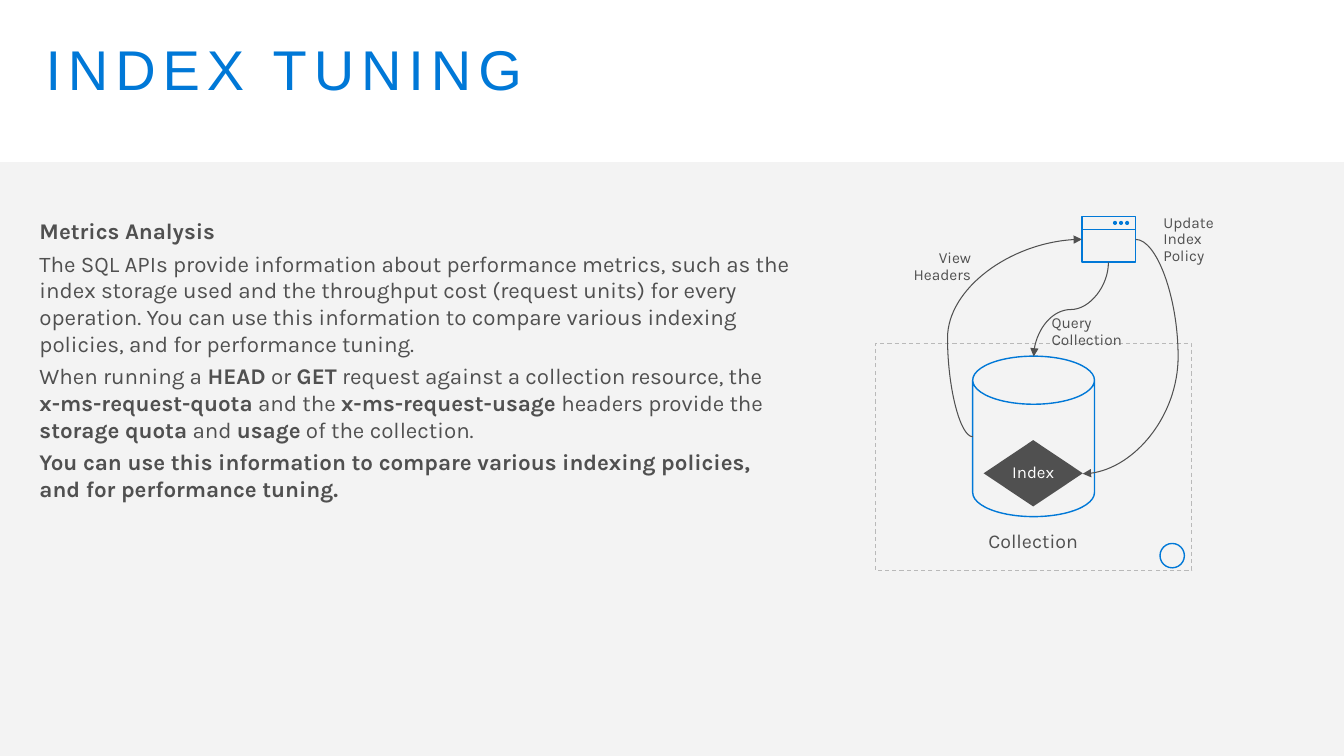
"""Build the index tuning slide: metrics notes beside a collection diagram."""
from typing import NamedTuple, Optional

from lxml.etree import SubElement
from pptx import Presentation
from pptx.dml.color import RGBColor
from pptx.enum.dml import MSO_LINE
from pptx.enum.shapes import MSO_CONNECTOR, MSO_SHAPE
from pptx.enum.text import MSO_ANCHOR, MSO_AUTO_SIZE, PP_ALIGN
from pptx.oxml.ns import qn
from pptx.util import Inches, Pt

COLORS = {"blue": "0078D7", "text": "505050", "band": "F2F2F2",
          "dash": "B9B9B9", "white": "FFFFFF"}
WIDTH, HEIGHT = Inches(13.33), Inches(7.5)
COLUMNS, ROWS = 160, 90


class Box(NamedTuple):
    x: float
    y: float
    w: float
    h: float


class Figure(NamedTuple):
    kind: MSO_SHAPE
    box: Box
    fill: Optional[str] = None
    line: Optional[str] = "blue"
    weight: float = 1
    dashed: bool = False
    adj: Optional[float] = None
    text: str = ""


class Link(NamedTuple):
    x1: float
    y1: float
    x2: float
    y2: float
    adj: Optional[float] = None
    rot: int = 0
    color: str = "text"
    weight: float = 0.75


class Label(NamedTuple):
    text: str
    box: Box
    align: PP_ALIGN = PP_ALIGN.LEFT
    size: float = 11
    inset: tuple = (0.1, 0.1)
    anchor: MSO_ANCHOR = MSO_ANCHOR.MIDDLE


WINDOW = Box(128.8, 25.8, 6.4, 5.4)
DOT, DOT_STEP = 0.48, 0.72

FIGURES = [
    Figure(MSO_SHAPE.RECTANGLE, WINDOW),
    *[Figure(MSO_SHAPE.OVAL, Box(132.5 + i * DOT_STEP, 26.3, DOT, DOT), "blue", None)
      for i in range(3)],
    Figure(MSO_SHAPE.RECTANGLE, Box(104.2, 40.9, 37.7, 27), None, "dash", 0.75, True),
    Figure(MSO_SHAPE.OVAL, Box(138.1, 64.7, 2.9, 2.9)),
    Figure(MSO_SHAPE.CAN, Box(115.8, 42.4, 14.5, 19.1), adj=0.395),
    Figure(MSO_SHAPE.FLOWCHART_DECISION, Box(117.1, 52.4, 11.8, 7.9), "text", None,
           text="Index"),
]
LINKS = [
    Link(WINDOW.x, 27.3, WINDOW.x + WINDOW.w, 27.3, color="blue", weight=1),
    Link(135.2, 28.5, 128.9, 56.4, -0.803),
    Link(121.9, 32.4, 133.1, 41.3, 0.5, 90),
    Link(115.8, 52, 128.8, 28.5, -0.231),
]
LABELS = [
    Label("Collection", Box(114.1, 61.4, 17.8, 6.5), PP_ALIGN.CENTER, 14,
          (0.2, 0.16), MSO_ANCHOR.TOP),
    Label("Update\nIndex\nPolicy", Box(137.3, 25.3, 13.2, 6.5)),
    Label("Query\nCollection", Box(124, 37.3, 15.4, 4.4)),
    Label("View\nHeaders", Box(103.8, 29.6, 13, 4.4), PP_ALIGN.RIGHT),
]
BODY = [
    "**Metrics Analysis**",
    "The SQL APIs provide information about performance metrics, such as the index "
    "storage used and the throughput cost (request units) for every operation. You can "
    "use this information to compare various indexing policies, and for performance "
    "tuning.",
    "When running a **HEAD** or **GET** request against a collection resource, the\n"
    "**x-ms-request-quota** and the **x-ms-request-usage** headers provide the "
    "**storage quota** and **usage** of the collection.",
    "**You can use this information to compare various indexing policies, "
    "and for performance tuning.**",
]


def col(n: float) -> int:
    return round(WIDTH * n / COLUMNS)


def row(n: float) -> int:
    return round(HEIGHT * n / ROWS)


def place(box: Box) -> tuple:
    return col(box.x), row(box.y), col(box.w), row(box.h)


def rgb(name: str) -> RGBColor:
    return RGBColor.from_string(COLORS[name])


def write(p, text: str, *, size: float, color: str = "text", font: str = "Karla",
          align=PP_ALIGN.LEFT, leading: float = 1, before: float = 0, spacing: int = 0):
    """Fill a paragraph; ** toggles bold and a newline breaks the line."""
    p.alignment, p.line_spacing = align, leading
    p.space_before, p.space_after = Pt(before), Pt(0)
    for i, part in enumerate(text.split("**")):
        for j, piece in enumerate(part.split("\n")):
            if j:
                p.add_line_break()
            if piece:
                r = p.add_run()
                r.text = piece
                r.font.size, r.font.name, r.font.bold = Pt(size), font, i % 2 == 1
                r.font.color.rgb = rgb(color)
                if spacing:
                    r.font._element.set("spc", str(spacing))


def frame(tf, inset: tuple, anchor) -> None:
    tf.word_wrap, tf.auto_size, tf.vertical_anchor = True, MSO_AUTO_SIZE.NONE, anchor
    tf.margin_left = tf.margin_right = Inches(inset[0])
    tf.margin_top = tf.margin_bottom = Inches(inset[1])


def draw_figure(s, fig: Figure):
    sp = s.shapes.add_shape(fig.kind, *place(fig.box))
    sp.shadow.inherit = False
    if fig.fill:
        sp.fill.solid()
        sp.fill.fore_color.rgb = rgb(fig.fill)
    else:
        sp.fill.background()
    if fig.line:
        sp.line.color.rgb, sp.line.width = rgb(fig.line), Pt(fig.weight)
    else:
        sp.line.fill.background()
    if fig.dashed:
        sp.line.dash_style = MSO_LINE.DASH
    if fig.adj is not None:
        sp.adjustments[0] = fig.adj
    if fig.text:
        frame(sp.text_frame, (0, 0), MSO_ANCHOR.MIDDLE)
        write(sp.text_frame.paragraphs[0], fig.text, size=12, color="white",
              align=PP_ALIGN.CENTER, leading=0.9)
    return sp


def draw_link(s, link: Link) -> None:
    curved = link.adj is not None
    kind = MSO_CONNECTOR.CURVE if curved else MSO_CONNECTOR.STRAIGHT
    sp = s.shapes.add_connector(kind, col(link.x1), row(link.y1), col(link.x2), row(link.y2))
    sp.line.color.rgb, sp.line.width = rgb(link.color), Pt(link.weight)
    props = sp._element.spPr
    SubElement(props, qn("a:effectLst"))
    if curved:
        SubElement(sp.line._get_or_add_ln(), qn("a:tailEnd"), type="triangle")
        guides = props.find(qn("a:prstGeom")).get_or_add_avLst()
        SubElement(guides, qn("a:gd"), name="adj1", fmla=f"val {round(link.adj * 100000)}")
    if link.rot:
        props.find(qn("a:xfrm")).set("rot", str(link.rot * 60000))


def draw_label(s, label: Label) -> None:
    tf = s.shapes.add_textbox(*place(label.box)).text_frame
    frame(tf, label.inset, label.anchor)
    write(tf.paragraphs[0], label.text, size=label.size, align=label.align, leading=0.9)


def fill_placeholders(s) -> None:
    title, body = s.shapes.title, s.placeholders[1]
    title.left, title.top, title.width, title.height = place(Box(3.5, 3.84, 153, 11.76))
    body.left, body.top, body.width, body.height = place(Box(3.5, 25.3, 92.3, 35.5))
    frame(title.text_frame, (0.16, 0.1), MSO_ANCHOR.TOP)
    write(title.text_frame.paragraphs[0], "INDEX TUNING", size=40, color="blue",
          font="Arial", leading=0.9, spacing=500)
    tf = body.text_frame
    frame(tf, (0.1, 0.05), MSO_ANCHOR.TOP)
    for i, text in enumerate(BODY):
        p = tf.add_paragraph() if i else tf.paragraphs[0]
        props = p._p.get_or_add_pPr()
        props.set("marL", "0")
        props.set("indent", "0")
        SubElement(props, qn("a:buNone"))
        write(p, text, size=16, before=3.75 if i else 0)


def main() -> None:
    prs = Presentation()
    prs.slide_width, prs.slide_height = WIDTH, HEIGHT
    s = prs.slides.add_slide(prs.slide_layouts[1])
    band = draw_figure(s, Figure(MSO_SHAPE.RECTANGLE, Box(0, 19.3, 160, 70.7), "band", None))
    tint = band._element.spPr.find(qn("a:solidFill")).find(qn("a:srgbClr"))
    SubElement(tint, qn("a:alpha"), val="89000")
    s.shapes.title._element.addprevious(band._element)
    fill_placeholders(s)
    for fig in FIGURES:
        draw_figure(s, fig)
    for link in LINKS:
        draw_link(s, link)
    for label in LABELS:
        draw_label(s, label)
    prs.save("out.pptx")


if __name__ == "__main__":
    main()
